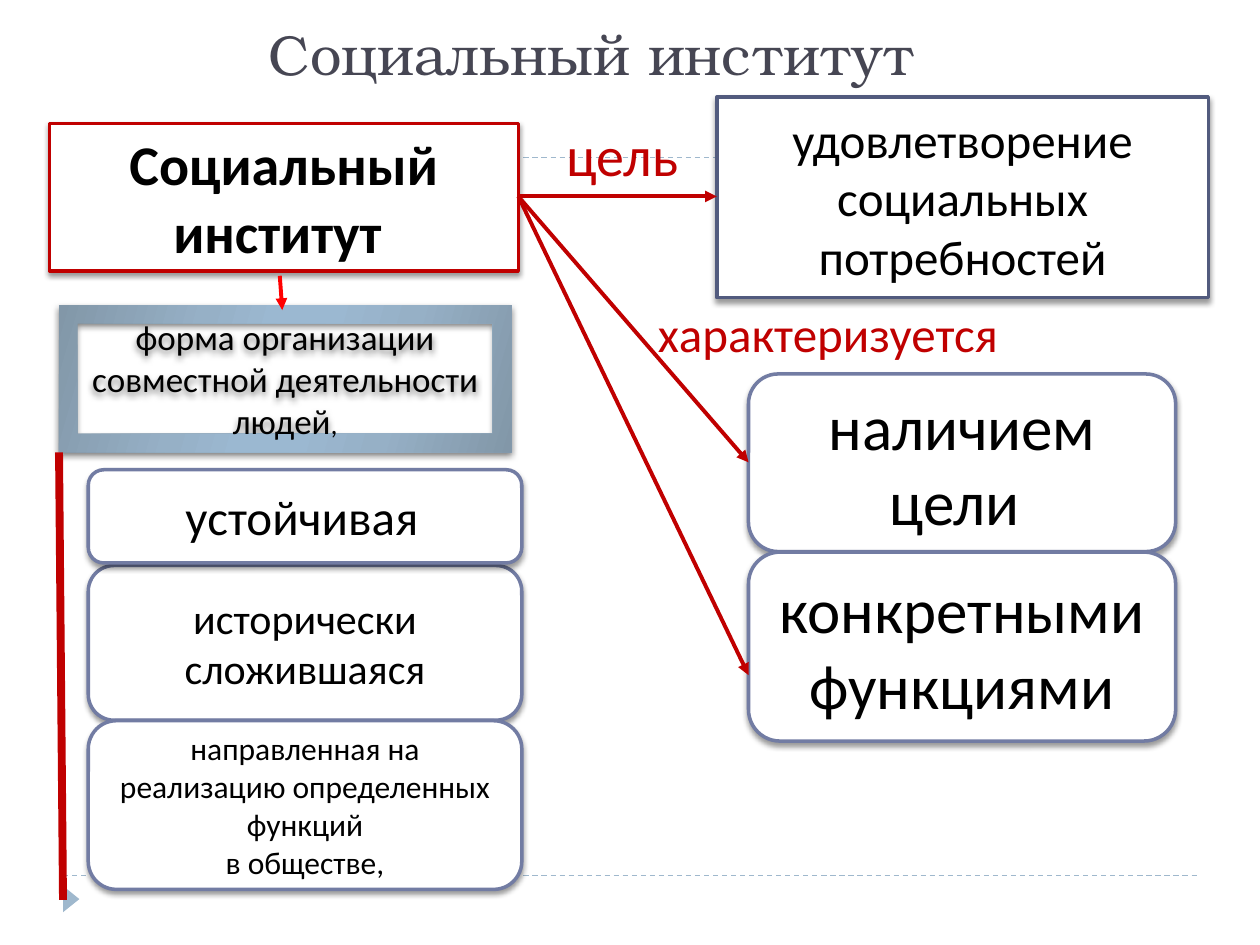
from lxml.etree import SubElement
from pptx import Presentation
from pptx.dml.color import RGBColor
from pptx.enum.dml import MSO_LINE
from pptx.enum.shapes import MSO_CONNECTOR, MSO_SHAPE
from pptx.enum.text import MSO_ANCHOR, PP_ALIGN
from pptx.oxml.ns import qn
from pptx.util import Cm, Pt

COLORS = {
    "black": "000000", "white": "FFFFFF", "title": "464653", "crimson": "C00000",
    "red": "FF0000", "slate": "525B7E", "violet": "727CA3", "pale": "9FB8CD",
}
C = {name: RGBColor.from_string(value) for name, value in COLORS.items()}
FRAME_STOPS = [(0, "8297A8"), (30, "96B0C6"), (45, "9BB8D1"),
               (55, "9BB8D1"), (73, "96B0C6"), (100, "8297A8")]

prs = Presentation()
prs.slide_width, prs.slide_height = Cm(25.4), Cm(19.05)
s = prs.slides.add_slide(prs.slide_layouts[5])


def add_line(x1, y1, x2, y2, color, width, arrow=False, dash=None):
    ln = s.shapes.add_connector(MSO_CONNECTOR.STRAIGHT, Cm(x1), Cm(y1), Cm(x2), Cm(y2))
    ln.line.color.rgb = C[color]
    ln.line.width = Pt(width)
    if dash:
        ln.line.dash_style = dash
    if arrow:
        SubElement(ln.line._ln, qn("a:tailEnd"), type="triangle")
    SubElement(ln._element.spPr, qn("a:effectLst"))


def write(sp, paragraphs, size, color, bold=False):
    """Fill a shape with centred paragraphs, each a list of (text, own size or None)."""
    tf = sp.text_frame
    tf.word_wrap = True
    tf.vertical_anchor = MSO_ANCHOR.MIDDLE
    for i, runs in enumerate(paragraphs):
        p = tf.add_paragraph() if i else tf.paragraphs[0]
        p.alignment = PP_ALIGN.CENTER
        p.font.name, p.font.size, p.font.bold = "Calibri", Pt(size), bold
        p.font.color.rgb = C[color]
        for text, own_size in runs:
            r = p.add_run()
            r.text = text
            if own_size:
                r.font.size = Pt(own_size)


# Title
title = s.shapes.title
title.left, title.top, title.width, title.height = Cm(0.5), Cm(0.03), Cm(22.86), Cm(1.85)
tf = title.text_frame
tf.text = "Социальный институт"
tf.vertical_anchor = MSO_ANCHOR.BOTTOM
p = tf.paragraphs[0]
p.alignment = PP_ALIGN.CENTER
p.font.name, p.font.size = "TeX Gyre Bonum", Pt(32)
p.font.color.rgb = C["title"]

# Background rules and corner marker
for y in (17.65, 3.18):
    add_line(1.27, y, 24.13, y, "pale", 0.75, dash=MSO_LINE.DASH)
marker = s.shapes.add_shape(MSO_SHAPE.ISOSCELES_TRIANGLE, Cm(1.17), Cm(17.96), Cm(0.53), Cm(0.33))
marker.rotation = 90
marker.shadow.inherit = False
marker.fill.solid()
marker.fill.fore_color.rgb = C["pale"]
marker.line.fill.background()

# Boxes: preset, left, top, width, height, outline, size, paragraphs
RECT, ROUND, FRAME = MSO_SHAPE.RECTANGLE, MSO_SHAPE.ROUNDED_RECTANGLE, MSO_SHAPE.FRAME
boxes = [
    (RECT, 1, 2.49, 9.45, 2.97, "crimson", 32, [[("Социальный институт ", None)]]),
    (FRAME, 1.19, 6.15, 9.12, 2.97, None, 20,
     [[("форма организации совместной деятельности людей", None), (",", 16)]]),
    (ROUND, 1.78, 11.4, 8.74, 3.12, "violet", 24, [[("исторически сложившаяся", None)]]),
    (ROUND, 1.78, 14.53, 8.74, 3.4, "violet", 18,
     [[("направленная на реализацию определенных функций", None)],
      [(" в обществе, ", None)]]),
    (RECT, 14.45, 1.96, 9.91, 4.04, "slate", 28,
     [[("удовлетворение социальных потребностей", None)]]),
    (ROUND, 1.78, 9.47, 8.74, 1.88, "violet", 28, [[("устойчивая", None), (" ", 16)]]),
    (ROUND, 15.09, 7.54, 8.61, 3.58, "violet", 36, [[("наличием цели ", None)]]),
    (ROUND, 15.09, 11.13, 8.61, 3.81, "violet", 36, [[("конкретными функциями", None)]]),
]
for preset, x, y, w, h, outline, size, paragraphs in boxes:
    sp = s.shapes.add_shape(preset, Cm(x), Cm(y), Cm(w), Cm(h))
    if preset == FRAME:
        sp.fill.gradient()
        sp.fill.gradient_angle = 344
        stops = sp._element.spPr.find(qn("a:gradFill")).find(qn("a:gsLst"))
        stops.clear()
        for percent, value in FRAME_STOPS:
            stop = SubElement(stops, qn("a:gs"), pos=str(percent * 1000))
            SubElement(stop, qn("a:srgbClr"), val=value)
        sp.line.fill.background()
        blur, alpha = 4, 50
    else:
        sp.fill.solid()
        sp.fill.fore_color.rgb = C["white"]
        sp.line.color.rgb = C[outline]
        sp.line.width = Pt(2)
        blur, alpha = 3, 40
    sp.shadow.inherit = False
    shadow = SubElement(sp._element.spPr.find(qn("a:effectLst")), qn("a:outerShdw"),
                        blurRad=str(Pt(blur)), dist=str(Pt(2)), dir="5400000", rotWithShape="0")
    shade = SubElement(shadow, qn("a:srgbClr"), val=COLORS["black"])
    SubElement(shade, qn("a:alpha"), val=str(alpha * 1000))
    write(sp, paragraphs, size, "black", bold=outline == "crimson")

# Arrows from the main box, and the side bar
for x, y in ((14.45, 3.96), (15.09, 9.32), (15.09, 13.61)):
    add_line(10.45, 3.96, x, y, "crimson", 2.25, arrow=True)
add_line(5.64, 5.56, 5.69, 6.25, "red", 2.25, arrow=True)
add_line(1.19, 9.12, 1.27, 18.14, "crimson", 4.5)

# Arrow labels
for text, x, y, w, h, size in (
    ("цель", 10.46, 2.49, 4.17, 1.24, 32),
    ("характеризуется ", 12.8, 5.87, 8, 1.68, 28),
):
    label = s.shapes.add_textbox(Cm(x), Cm(y), Cm(w), Cm(h))
    write(label, [[(text, None)]], size, "crimson")

prs.save("out.pptx")
